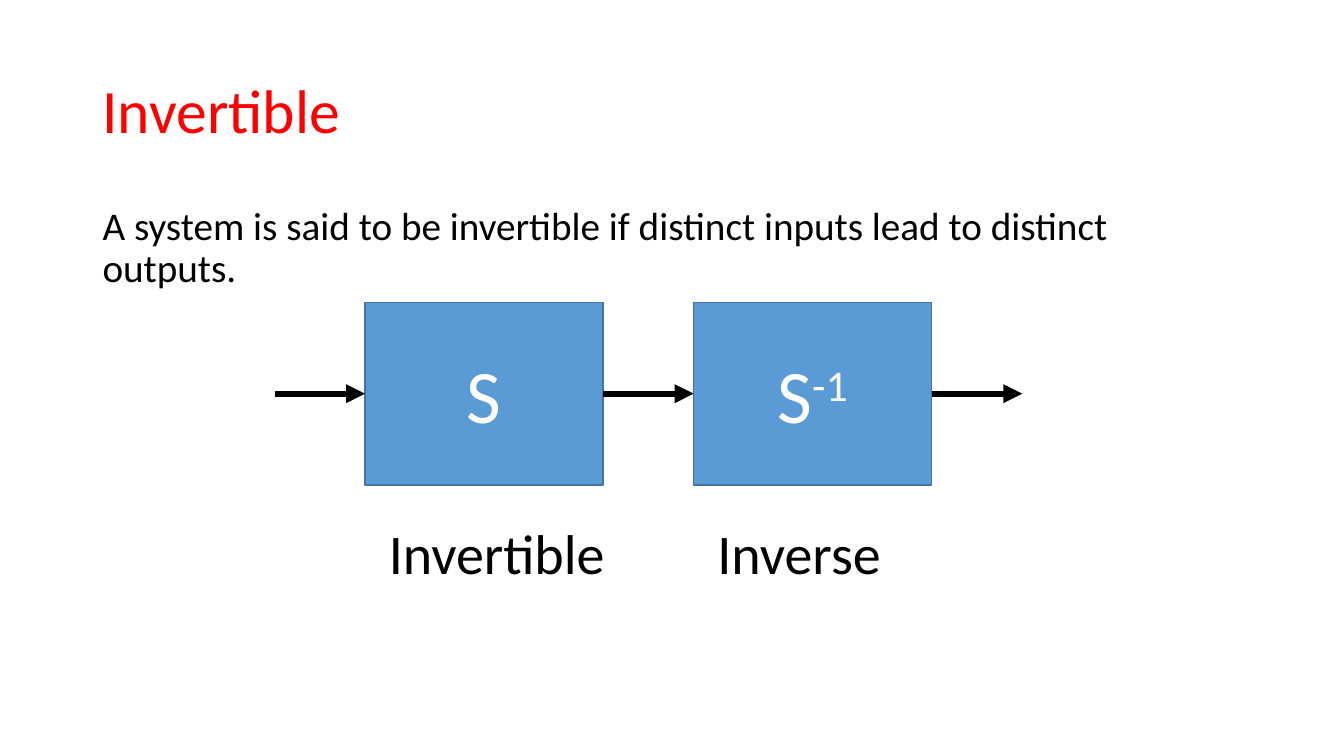
from lxml import etree
from pptx import Presentation
from pptx import util as u
from pptx.dml.color import RGBColor
from pptx.enum import shapes, text
from pptx.oxml.ns import qn

TITLE = "Invertible"
DEFINITION = ("A system is said to be invertible if distinct inputs "
              "lead to distinct outputs.")
SYSTEMS = [("S", ""), ("S", "-1")]  # base, superscript
CAPTIONS = ["Invertible", "Inverse"]

BLACK, RED, WHITE = "000000", "FF0000", "FFFFFF"
BLUE, DARK_BLUE = "5B9BD5", "43739E"

# Centimetres
MARGIN, CONTENT_WIDTH = 2.33, 29.21
BOX_LEFT, BOX_TOP, BOX_WIDTH, BOX_HEIGHT = 9.2, 7.62, 6, 4.6
ARROW_LENGTH = 2.28
PITCH = BOX_WIDTH + ARROW_LENGTH
AXIS = BOX_TOP + BOX_HEIGHT / 2


def cm(*lengths):
    return [u.Cm(length) for length in lengths]


def rgb(code):
    return RGBColor.from_string(code)


def apply(target, values):
    for name, value in values.items():
        setattr(target, name, value)


def style(paragraph, size, colour, **layout):
    apply(paragraph, layout)
    for run in paragraph.runs:
        apply(run.font, {"name": "Calibri", "size": u.Pt(size)})
        run.font.color.rgb = rgb(colour)


def place(shape, left, top, width, height):
    apply(shape, dict(zip(("left", "top", "width", "height"),
                          cm(left, top, width, height))))


def add_system(slide, left, base, superscript):
    box = slide.shapes.add_shape(shapes.MSO_SHAPE.RECTANGLE,
                                 *cm(left, BOX_TOP, BOX_WIDTH, BOX_HEIGHT))
    box.shadow.inherit = False
    box.fill.solid()
    box.fill.fore_color.rgb = rgb(BLUE)
    box.line.color.rgb = rgb(DARK_BLUE)
    box.line.width = u.Pt(1)
    box.text_frame.vertical_anchor = text.MSO_ANCHOR.MIDDLE
    symbol = box.text_frame.paragraphs[0]
    symbol.add_run().text = base
    if superscript:
        exponent = symbol.add_run()
        exponent.text = superscript
        exponent._r.get_or_add_rPr().set("baseline", "30000")
    style(symbol, 54, WHITE, alignment=text.PP_ALIGN.CENTER)


def add_arrow(slide, left):
    arrow = slide.shapes.add_connector(shapes.MSO_CONNECTOR.STRAIGHT,
                                       *cm(left, AXIS, left + ARROW_LENGTH, AXIS))
    arrow.line.color.rgb = rgb(BLACK)
    arrow.line.width = u.Pt(4.5)
    etree.SubElement(arrow.line._get_or_add_ln(), qn("a:tailEnd"), type="triangle")
    etree.SubElement(arrow._element.spPr, qn("a:effectLst"))


def add_captions(slide):
    """Write the captions on one line, a tab stop one box pitch apart."""
    box = slide.shapes.add_textbox(*cm(9.55, 12.95, 13.6, 1.96))
    box.text_frame.word_wrap = True
    line = box.text_frame.paragraphs[0]
    line.text = "\t".join(CAPTIONS)
    tabs = etree.SubElement(line._p.get_or_add_pPr(), qn("a:tabLst"))
    etree.SubElement(tabs, qn("a:tab"), pos=str(u.Cm(PITCH)), algn="l")
    style(line, 40, BLACK)


def main():
    deck = Presentation()
    apply(deck, {"slide_width": u.Cm(33.87), "slide_height": u.Cm(19.05)})
    slide = deck.slides.add_slide(deck.slide_layouts[1])
    title, definition = slide.placeholders

    place(title, MARGIN, 1.01, CONTENT_WIDTH, 3.68)
    place(definition, MARGIN, 5.08, CONTENT_WIDTH, 2.87)
    title.text_frame.text = TITLE
    definition.text_frame.text = DEFINITION
    for holder, anchor, size, colour in (
            (title, text.MSO_ANCHOR.MIDDLE, 44, RED),
            (definition, text.MSO_ANCHOR.TOP, 28, BLACK)):
        apply(holder.text_frame, {"vertical_anchor": anchor, "word_wrap": True,
                                  "auto_size": text.MSO_AUTO_SIZE.NONE})
        paragraph = holder.text_frame.paragraphs[0]
        properties = paragraph._p.get_or_add_pPr()
        properties.set("marL", "0")
        properties.set("indent", "0")
        etree.SubElement(properties, qn("a:buNone"))
        style(paragraph, size, colour, alignment=text.PP_ALIGN.LEFT,
              line_spacing=0.9, space_before=u.Pt(0))

    for index, (base, superscript) in enumerate(SYSTEMS):
        add_system(slide, BOX_LEFT + index * PITCH, base, superscript)
    for index in range(len(SYSTEMS) + 1):
        add_arrow(slide, BOX_LEFT - ARROW_LENGTH + index * PITCH)
    add_captions(slide)
    deck.save("out.pptx")


if __name__ == "__main__":
    main()
